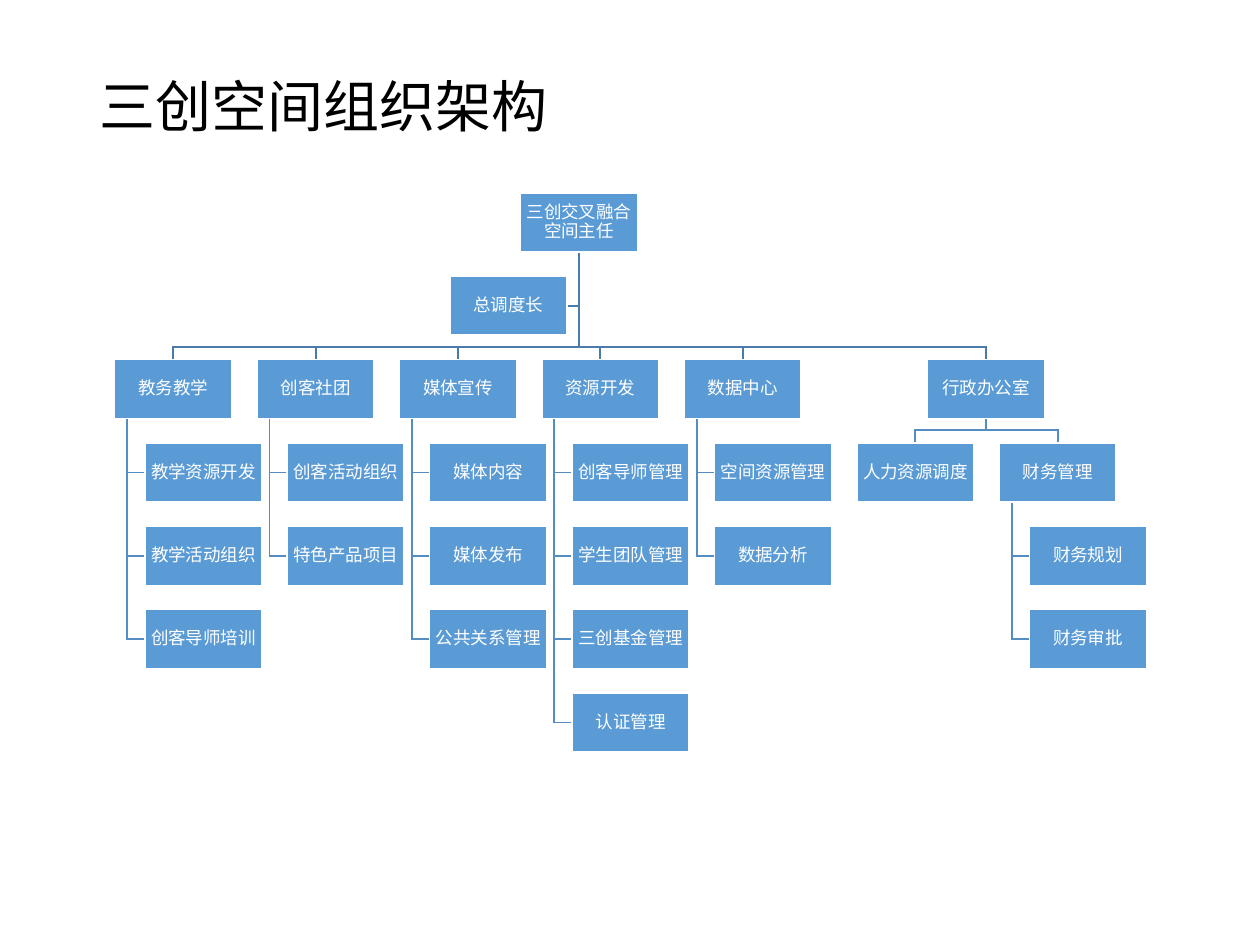
from dataclasses import dataclass

from lxml.etree import SubElement
from pptx import Presentation
from pptx.dml.color import RGBColor
from pptx.enum.shapes import MSO_SHAPE
from pptx.enum.text import MSO_ANCHOR, PP_ALIGN
from pptx.oxml.ns import qn
from pptx.util import Inches, Pt

WIDE, HIGH = 0.93, 0.47
TOP, STEP = 1.53, (5.5 - 1.53) / 6
LEFT, PITCH = 0.91, 1.13
INDENT, SPINE, DROP = 0.24, 0.1, 0.1
BLUE, WHITE, BLACK = "5B9BD5", "FFFFFF", "000000"
DARK, MID = "497CAB", "538DC1"

STAFF = [
    ("教务教学", ["教学资源开发", "教学活动组织", "创客导师培训"]),
    ("创客社团", ["创客活动组织", "特色产品项目"]),
    ("媒体宣传", ["媒体内容", "媒体发布", "公共关系管理"]),
    ("资源开发", ["创客导师管理", "学生团队管理", "三创基金管理", "认证管理"]),
    ("数据中心", ["空间资源管理", "数据分析"]),
]


@dataclass
class Box:
    text: str
    left: float
    row: int

    @property
    def top(self) -> float:
        return TOP + STEP * self.row

    @property
    def base(self) -> float:
        return self.top + HIGH

    @property
    def mid(self) -> float:
        return self.left + WIDE / 2

    @property
    def level(self) -> float:
        return self.top + HIGH / 2


def paint(code: str) -> RGBColor:
    return RGBColor.from_string(code)


def write(shape, text: str, *, size: float, color: str, align=PP_ALIGN.LEFT,
          inset: float = 0.1) -> None:
    frame = shape.text_frame
    frame.word_wrap = True
    frame.vertical_anchor = MSO_ANCHOR.MIDDLE
    frame.margin_left = frame.margin_right = Inches(inset)
    frame.margin_top = frame.margin_bottom = Inches(min(inset, 0.05))
    para = frame.paragraphs[0]
    para.alignment = align
    para.line_spacing = 0.9
    run = para.add_run()
    run.text = text
    run.font.size = Pt(size)
    run.font.name = "Calibri"
    run.font.color.rgb = paint(color)


def draw_box(slide, box: Box) -> None:
    shape = slide.shapes.add_shape(
        MSO_SHAPE.RECTANGLE, Inches(box.left), Inches(box.top),
        Inches(WIDE), Inches(HIGH))
    shape.shadow.inherit = False
    shape.fill.solid()
    shape.fill.fore_color.rgb = paint(BLUE)
    shape.line.color.rgb = paint(WHITE)
    shape.line.width = Pt(1)
    write(shape, box.text, size=10, color=WHITE, align=PP_ALIGN.CENTER, inset=0.01)


def draw_line(slide, points: list[tuple[float, float]], color: str) -> None:
    first, *rest = [(Inches(x), Inches(y)) for x, y in points]
    pen = slide.shapes.build_freeform(*first)
    pen.add_line_segments(rest, close=False)
    shape = pen.convert_to_shape()
    shape.shadow.inherit = False
    shape.fill.background()
    shape.line.color.rgb = paint(color)
    shape.line.width = Pt(1)
    SubElement(shape.line._get_or_add_ln(), qn("a:miter")).set("lim", "800000")


def fan(slide, boss: Box, kids: list[Box], color: str) -> None:
    """Link a box to the row of boxes below it."""
    for kid in kids:
        bend = kid.top - DROP
        draw_line(slide, [(boss.mid, boss.base), (boss.mid, bend),
                          (kid.mid, bend), (kid.mid, kid.top)], color)


def hang(slide, boss: Box, names: list[str]) -> list[Box]:
    """Link a box to a new indented column below it, and return that column."""
    spine = boss.left + SPINE
    kids = [Box(name, boss.left + INDENT, boss.row + i)
            for i, name in enumerate(names, 1)]
    for kid in kids:
        draw_line(slide, [(spine, boss.base), (spine, kid.level),
                          (kid.left, kid.level)], MID)
    return kids


def main() -> None:
    deck = Presentation()
    deck.slide_width, deck.slide_height = Inches(10), Inches(7.5)
    slide = deck.slides.add_slide(deck.slide_layouts[6])

    title = slide.shapes.add_textbox(
        Inches(0.69), Inches(0.4), Inches(8.62), Inches(0.94))
    write(title, "三创空间组织架构", size=32, color=BLACK)

    chief = Box("三创交叉融合空间主任", 4.13, 0)
    aide = Box("总调度长", 3.57, 1)
    heads = [Box(name, LEFT + PITCH * i, 2) for i, (name, _) in enumerate(STAFF)]
    admin = Box("行政办公室", 7.36, 2)
    people = Box("人力资源调度", LEFT + INDENT + PITCH * 5, 3)
    money = Box("财务管理", people.left + PITCH, 3)

    draw_line(slide, [(chief.mid, chief.base), (chief.mid, aide.level),
                      (aide.left + WIDE, aide.level)], DARK)
    fan(slide, chief, [*heads, admin], DARK)
    fan(slide, admin, [people, money], MID)

    boxes = [chief, aide]
    for head, (_, names) in zip(heads, STAFF):
        boxes += [head, *hang(slide, head, names)]
    boxes += [admin, people, money, *hang(slide, money, ["财务规划", "财务审批"])]
    for box in boxes:
        draw_box(slide, box)

    deck.save("out.pptx")


if __name__ == "__main__":
    main()
